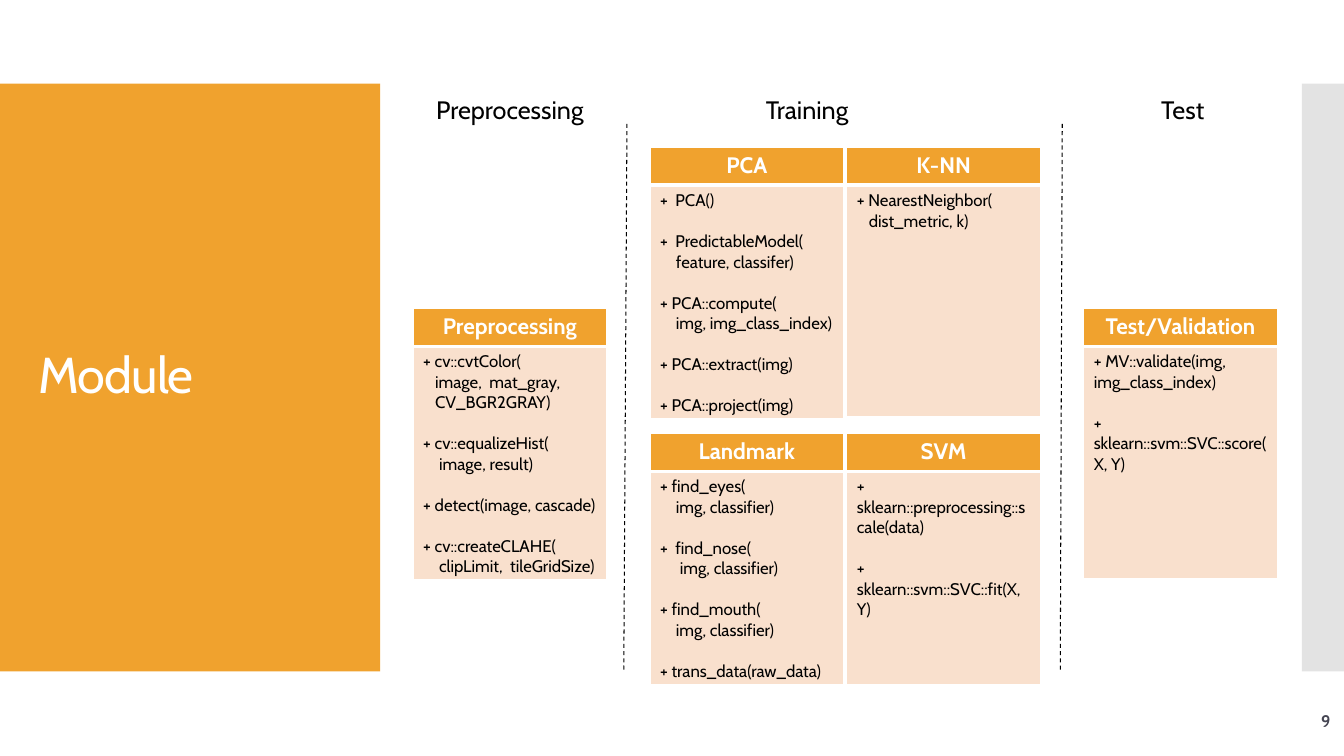
"""Build the module overview slide with its class tables."""
from lxml.etree import SubElement
from pptx import Presentation
from pptx.dml.color import RGBColor
from pptx.enum.dml import MSO_LINE as Dash
from pptx.enum.shapes import MSO_CONNECTOR as Link, MSO_SHAPE as Shape
from pptx.enum.text import MSO_ANCHOR as Anchor, PP_ALIGN as Align
from pptx.oxml.ns import qn
from pptx.util import Cm, Pt


def hue(code):
    return RGBColor.from_string(code)


def write(par, text, size, color, bold=False, align=Align.LEFT):
    par.add_run().text = text
    par.alignment = align
    font = par.font
    font.name, font.size, font.bold = "Cabin", Pt(size), bold
    font.color.rgb = hue(color)


ORANGE, PEACH, WHITE, BLACK = "F0A22E", "F9E0CD", "FFFFFF", "000000"
WIDE, HEAD, TALL, SHORT = 4.88, 0.96, 5.84, 5.36
TOP, MID, LOW = 3.71, 7.77, 10.92

deck = Presentation()
deck.slide_width, deck.slide_height = Cm(33.87), Cm(19.05)
slide = deck.slides.add_slide(deck.slide_layouts[6])
shapes = slide.shapes

for left, width, color in [(0, 9.58, ORANGE), (32.81, 1.06, "E3E3E3")]:
    bar = shapes.add_shape(Shape.RECTANGLE, Cm(left), Cm(2.11), Cm(width), Cm(14.81))
    bar.shadow.inherit = False
    bar.fill.solid()
    bar.fill.fore_color.rgb = hue(color)
    bar.line.fill.background()

labels = [
    ("Module", 0.71, 3.12, 8.18, 12.78, 36, WHITE, False, Align.LEFT, Anchor.MIDDLE),
    ("9", 29.54, 17.65, 4.24, 1.02, 12, "464653", True, Align.RIGHT, Anchor.MIDDLE),
]
for text, left, align in [
    ("Preprocessing", 10.74, Align.LEFT),
    ("Training", 19.05, Align.LEFT),
    ("Test", 27.53, Align.CENTER),
]:
    labels.append((text, left, 2.24, 4.55, 1.02, 18, BLACK, False, align, Anchor.TOP))

for text, left, top, width, height, size, color, bold, align, anchor in labels:
    box = shapes.add_textbox(Cm(left), Cm(top), Cm(width), Cm(height))
    frame = box.text_frame
    frame.word_wrap = True
    frame.vertical_anchor = anchor
    par = frame.paragraphs[0]
    write(par, text, size, color, bold, align)
    if text == "Module":
        par.line_spacing = 0.9
        par.runs[0]._r.get_or_add_rPr().set("spc", "-60")

# Each entry holds the indent of its later lines, then the lines.
tables = [
    ("Preprocessing", 10.41, MID, TALL, [
        (3, "+ cv::cvtColor(", "image,  mat_gray,", "CV_BGR2GRAY)"),
        (4, "+ cv::equalizeHist(", "image, result)"),
        (0, "+ detect(image, cascade)"),
        (4, "+ cv::createCLAHE(", "clipLimit,  tileGridSize)"),
    ]),
    ("PCA", 16.38, TOP, TALL, [
        (0, "+  PCA()"),
        (4, "+  PredictableModel(", "feature, classifer)"),
        (4, "+ PCA::compute(", "img, img_class_index)"),
        (0, "+ PCA::extract(img)"),
        (0, "+ PCA::project(img)"),
    ]),
    ("Landmark", 16.38, LOW, SHORT, [
        (4, "+ find_eyes(", "img, classifier)"),
        (5, "+  find_nose(", "img, classifier)"),
        (4, "+ find_mouth(", "img, classifier)"),
        (0, "+ trans_data(raw_data)"),
    ]),
    ("SVM", 21.34, LOW, SHORT, [
        (0, "+ sklearn::preprocessing::scale(data)"),
        (0, "+ sklearn::svm::SVC::fit(X, Y)"),
    ]),
    ("K-NN", 21.34, TOP, TALL, [
        (3, "+ NearestNeighbor(", "dist_metric, k)"),
    ]),
    ("Test/Validation", 27.31, MID, TALL, [
        (0, "+ MV::validate(img, img_class_index)"),
        (0, "+ sklearn::svm::SVC::score(X, Y)"),
    ]),
]
for name, left, top, body, entries in tables:
    grid = shapes.add_table(2, 1, Cm(left), Cm(top), Cm(WIDE), Cm(HEAD + body)).table
    grid.horz_banding = False
    grid.rows[0].height, grid.rows[1].height = Cm(HEAD), Cm(body)
    for row, color, thick in [(0, ORANGE, "lnB"), (1, PEACH, "lnT")]:
        cell = grid.cell(row, 0)
        props = cell._tc.get_or_add_tcPr()
        for side in ("lnL", "lnR", "lnT", "lnB"):
            width = Pt(3 if side == thick else 1)
            edge = SubElement(props, qn(f"a:{side}"), w=str(width))
            SubElement(SubElement(edge, qn("a:solidFill")), qn("a:srgbClr"), val=WHITE)
        cell.fill.solid()
        cell.fill.fore_color.rgb = hue(color)
    write(grid.cell(0, 0).text_frame.paragraphs[0], name, 16, WHITE, True, Align.CENTER)
    frame = grid.cell(1, 0).text_frame
    for item, (depth, *lines) in enumerate(entries):
        for rank, line in enumerate(lines):
            first = item == 0 and rank == 0
            par = frame.paragraphs[0] if first else frame.add_paragraph()
            write(par, line, 12, BLACK)
            if rank:
                par._p.get_or_add_pPr().set("marL", str(Cm(0.1 * depth)))
            elif item:
                par.space_before = Pt(14.6)

for start, end in [(15.8, 15.72), (26.77, 26.72)]:
    rule = shapes.add_connector(Link.STRAIGHT, Cm(start), Cm(3.12), Cm(end), Cm(16.89))
    rule.line.color.rgb = hue(BLACK)
    rule.line.width = Pt(0.75)
    rule.line.dash_style = Dash.DASH
    SubElement(rule._element.spPr, qn("a:effectLst"))

deck.save("out.pptx")
